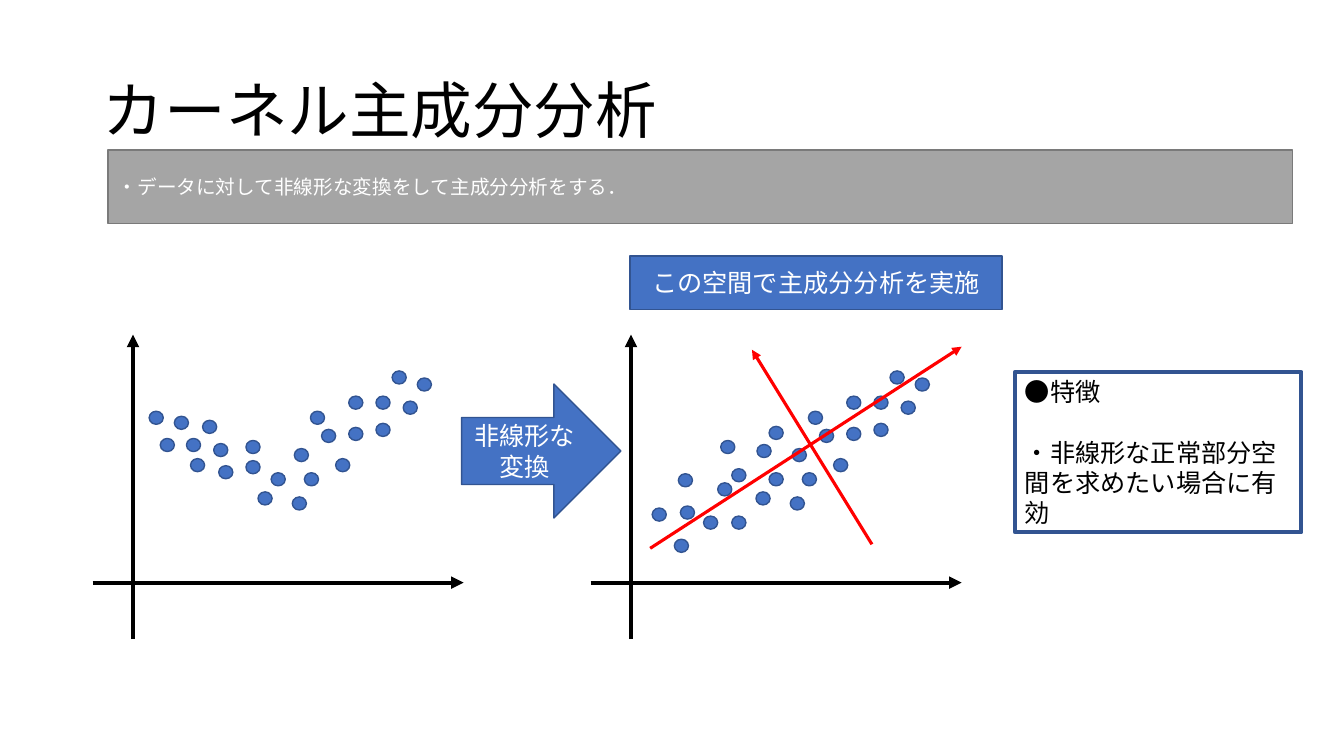
"""Build a slide that explains kernel principal component analysis."""
import pptx
import pptx.dml.color
import pptx.enum.shapes
import pptx.enum.text
import pptx.oxml
import pptx.oxml.ns
import pptx.util

FONT = "Noto Sans CJK JP"
CELL = 0.1
COLORS = {
    "black": "000000",
    "white": "FFFFFF",
    "gray": "A5A5A5",
    "gray_edge": "7A7A7A",
    "blue": "4472C4",
    "blue_edge": "325491",
    "red": "FF0000",
}
SHAPES = pptx.enum.shapes.MSO_SHAPE
ALIGN = pptx.enum.text.PP_ALIGN
ANCHOR = pptx.enum.text.MSO_ANCHOR

SHARED_DOTS = [
    (13.7, 46.9), (12.4, 48.8), (17, 46.9), (20.1, 45.5), (15.8, 49.3),
    (16, 44.5), (21.4, 42.4), (18.7, 42.6), (17.6, 40.8), (24.1, 42),
    (21.4, 39.3), (24.1, 39.3), (26.8, 39.8), (25.7, 36.8), (28.2, 37.5),
]
CURVED_DOTS = [
    (1.6, 40.8), (2.7, 43.5), (6.9, 41.7), (8.5, 46.2), (5.7, 45.5),
    (11.2, 43.7), (11.2, 45.7), (8, 44), (4.1, 41.3), (5.3, 43.5),
]
STRAIGHT_DOTS = [
    (4.3, 53.5), (8.9, 43.7), (8.6, 47.9), (2.1, 50.4), (4.7, 47), (13.7, 42.3),
    (7.2, 51.2), (10, 51.2), (10, 46.5), (4.9, 50.2), (12.5, 44.1),
]


def cells(*counts):
    """Turn counts of grid cells into slide lengths."""
    return [pptx.util.Inches(count * CELL) for count in counts]


def color(name):
    """Look up a colour by its name."""
    return pptx.dml.color.RGBColor.from_string(COLORS[name])


def write_text(shape, *texts, size=18, ink="white", align=ALIGN.LEFT, gap=0, spacing=None):
    """Write one paragraph per text, with a gap in points between them."""
    frame = shape.text_frame
    frame.word_wrap = True
    frame.vertical_anchor = ANCHOR.MIDDLE
    for index, text in enumerate(texts):
        paragraph = frame.add_paragraph() if index else frame.paragraphs[0]
        paragraph.alignment = align
        paragraph.line_spacing = spacing
        if index:
            paragraph.space_before = pptx.util.Pt(gap)
        run = paragraph.add_run()
        run.text = text
        run.font.size = pptx.util.Pt(size)
        run.font.name = FONT
        run.font.color.rgb = color(ink)
        east_asian = pptx.oxml.parse_xml(
            f'<a:ea {pptx.oxml.ns.nsdecls("a")} typeface="{FONT}"/>')
        run.font._element.append(east_asian)


def add_figure(slide, kind, box, fill="blue", edge="blue_edge", weight=1):
    """Add a preset shape at a box of grid cells."""
    shape = slide.shapes.add_shape(kind, *cells(*box))
    shape.shadow.inherit = False
    if fill:
        shape.fill.solid()
        shape.fill.fore_color.rgb = color(fill)
    else:
        shape.fill.background()
    shape.line.color.rgb = color(edge)
    shape.line.width = pptx.util.Pt(weight)
    return shape


def add_arrow(slide, start, end, ink="black", weight=3):
    """Add a straight arrow between two grid points."""
    arrow = slide.shapes.add_connector(
        pptx.enum.shapes.MSO_CONNECTOR.STRAIGHT, *cells(*start, *end))
    arrow.line.color.rgb = color(ink)
    arrow.line.width = pptx.util.Pt(weight)
    namespace = pptx.oxml.ns.nsdecls("a")
    arrow.line._get_or_add_ln().append(
        pptx.oxml.parse_xml(f'<a:tailEnd {namespace} type="triangle"/>'))
    arrow._element.spPr.append(pptx.oxml.parse_xml(f"<a:effectLst {namespace}/>"))


def add_scatter(slide, axis, dots):
    """Draw two axes and the dots, placed from the vertical axis."""
    add_arrow(slide, (axis, 63.4), (axis, 33.2))
    add_arrow(slide, (axis - 4, 57.8), (axis + 32.8, 57.8))
    for column, row in dots:
        add_figure(slide, SHAPES.OVAL, (axis + column, row, 1.4, 1.3))


def add_title(slide, text):
    """Place and format the title placeholder."""
    title = slide.shapes.title
    title.left, title.top, title.width, title.height = cells(9.2, 4, 124, 14.5)
    write_text(title, text, size=44, ink="black", spacing=0.9)


def main():
    """Build and save the slide."""
    presentation = pptx.Presentation()
    presentation.slide_width, presentation.slide_height = cells(133.33, 75)
    slide = presentation.slides.add_slide(presentation.slide_layouts[5])
    add_title(slide, "カーネル主成分分析")

    summary = add_figure(
        slide, SHAPES.RECTANGLE, (10.7, 14.9, 117.5, 7.3), "gray", "gray_edge")
    write_text(summary, "・データに対して非線形な変換をして主成分分析をする．", size=14)

    add_scatter(slide, 13.2, SHARED_DOTS + CURVED_DOTS)
    add_scatter(slide, 62.6, SHARED_DOTS + STRAIGHT_DOTS)

    transform = add_figure(slide, SHAPES.RIGHT_ARROW, (45.8, 38.1, 15.8, 13.3))
    write_text(transform, "非線形な変換", align=ALIGN.CENTER)
    caption = add_figure(slide, SHAPES.RECTANGLE, (62.5, 25.4, 36.9, 5.3))
    write_text(caption, "この空間で主成分分析を実施", align=ALIGN.CENTER)

    add_arrow(slide, (86.5, 54), (74.6, 34.7), "red", 2.25)
    add_arrow(slide, (64.5, 54.4), (95.4, 34.4), "red", 2.25)

    features = add_figure(
        slide, SHAPES.RECTANGLE, (100.7, 36.9, 28.4, 15.9), fill=None, weight=3)
    write_text(features, "●特徴", "・非線形な正常部分空間を求めたい場合に有効",
               ink="black", gap=21.6)

    presentation.save("out.pptx")


if __name__ == "__main__":
    main()
